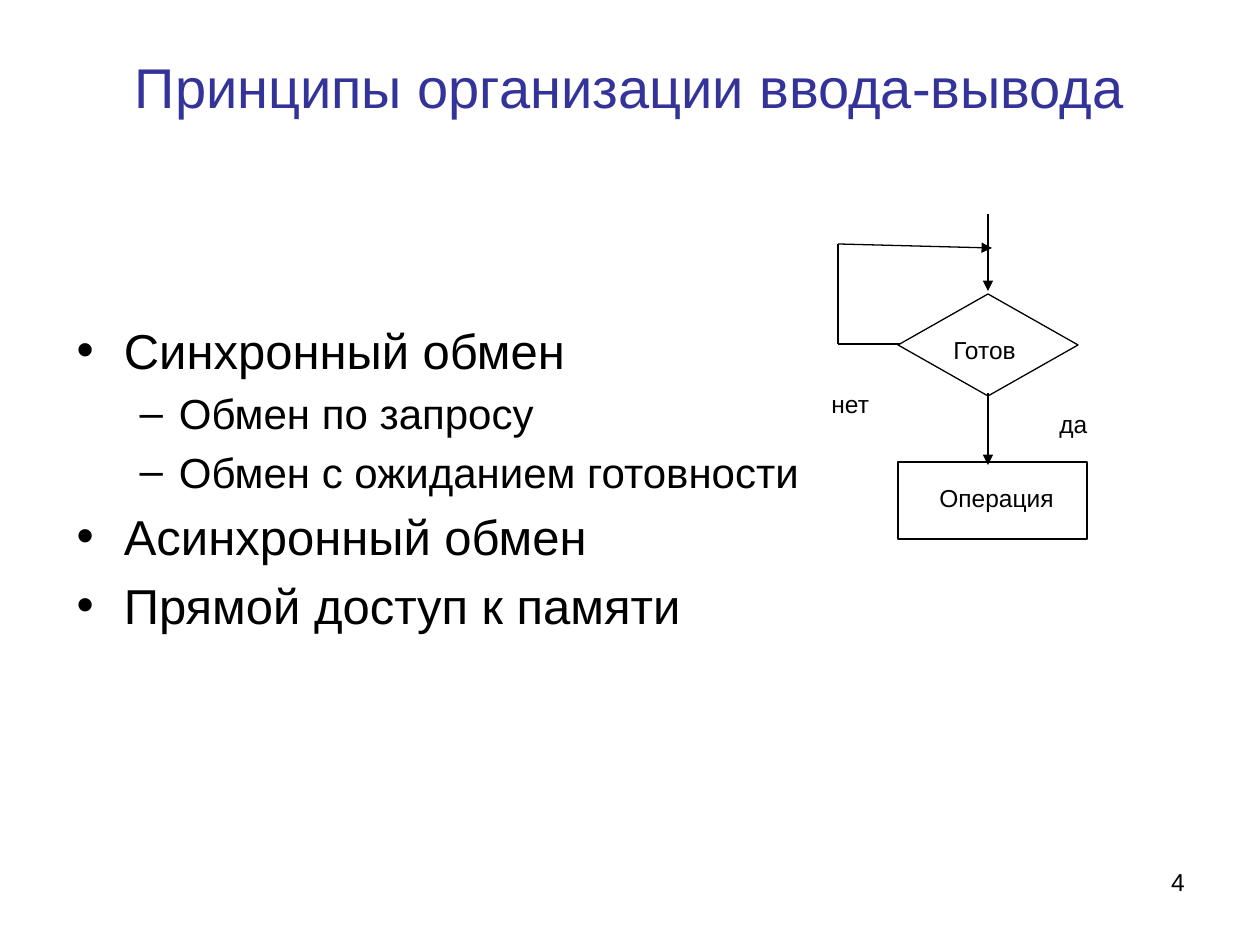
"""Builds a slide on input/output principles with a readiness-polling flowchart."""
from dataclasses import dataclass
from typing import NamedTuple

from lxml import etree
from pptx import Presentation
from pptx import util as u
from pptx.dml.color import RGBColor
from pptx.enum import shapes, text
from pptx.oxml.ns import qn

SCALE = 914400 / 126


@dataclass(frozen=True)
class Theme:
    font: str = "Arial"
    ink: str = "000000"
    paper: str = "FFFFFF"
    accent: str = "333399"
    title: int = 32
    levels: tuple = (28, 24)
    small: int = 14
    stroke: float = 0.75


class Box(NamedTuple):
    left: int
    top: int
    width: int
    height: int


class Node(NamedTuple):
    kind: shapes.MSO_SHAPE
    box: Box


class Label(NamedTuple):
    words: str
    box: Box
    align: text.PP_ALIGN = text.PP_ALIGN.LEFT
    inset: int = 6


class Link(NamedTuple):
    start: tuple
    end: tuple
    arrow: bool = False


class Item(NamedTuple):
    words: str
    level: int = 0


THEME = Theme()
DECISION = Box(898, 294, 180, 102)
PROCESS = Box(898, 462, 189, 77)
AXIS, LOOP_LEFT, LOOP_TOP, LOOP_BOTTOM = 988, 838, 244, 344

ITEMS = [
    Item("Синхронный обмен"),
    Item("Обмен по запросу", 1),
    Item("Обмен с ожиданием готовности", 1),
    Item("Асинхронный обмен"),
    Item("Прямой доступ к памяти"),
]
NODES = [
    Node(shapes.MSO_SHAPE.FLOWCHART_DECISION, DECISION),
    Node(shapes.MSO_SHAPE.FLOWCHART_PROCESS, PROCESS),
]
LABELS = [
    Label("Готов", Box(941, 335, 101, 25), inset=0),
    Label("Операция", Box(917, 483, 159, 40), text.PP_ALIGN.CENTER, 0),
    Label("да", Box(1047, 403, 68, 37)),
    Label("нет", Box(819, 383, 67, 35)),
]
LINKS = [
    Link((AXIS, 393), (AXIS, 465), True),
    Link((AXIS, 214), (AXIS, 291), True),
    Link((900, LOOP_BOTTOM), (LOOP_LEFT, LOOP_BOTTOM)),
    Link((LOOP_LEFT, LOOP_BOTTOM), (LOOP_LEFT, LOOP_TOP)),
    Link((LOOP_LEFT, LOOP_TOP), (992, 248), True),
]


def px(*lengths: int) -> list:
    return [u.Emu(round(length * SCALE)) for length in lengths]


def colour(code: str) -> RGBColor:
    return RGBColor.from_string(code)


def place(shape, box: Box) -> None:
    shape.left, shape.top, shape.width, shape.height = px(*box)


def write(para, words: str, *, size: int = THEME.small, ink: str = THEME.ink,
          align=None, level: int = 0) -> None:
    para.alignment, para.level = align, level
    span = para.add_run()
    span.text = words
    span.font.name, span.font.size = THEME.font, u.Pt(size)
    span.font.color.rgb = colour(ink)


def add_node(slide, node: Node) -> None:
    shape = slide.shapes.add_shape(node.kind, *px(*node.box))
    shape.shadow.inherit = False
    shape.fill.solid()
    shape.fill.fore_color.rgb = colour(THEME.paper)
    shape.line.color.rgb = colour(THEME.ink)
    shape.line.width = u.Pt(THEME.stroke)


def add_label(slide, label: Label, filled: bool = True) -> None:
    shape = slide.shapes.add_textbox(*px(*label.box))
    if filled:
        shape.fill.solid()
        shape.fill.fore_color.rgb = colour(THEME.paper)
    frame = shape.text_frame
    frame.word_wrap = True
    frame.margin_top, frame.margin_bottom = px(label.inset, label.inset)
    write(frame.paragraphs[0], label.words, align=label.align)


def add_link(slide, link: Link) -> None:
    line = slide.shapes.add_connector(
        shapes.MSO_CONNECTOR.STRAIGHT, *px(*link.start, *link.end))
    line.line.color.rgb = colour(THEME.ink)
    line.line.width = u.Pt(THEME.stroke)
    if link.arrow:
        etree.SubElement(line.line._get_or_add_ln(), qn("a:tailEnd"), type="triangle")
    etree.SubElement(line._element.spPr, qn("a:effectLst"))


def fill_title(slide) -> None:
    title = slide.shapes.title
    place(title, Box(63, 38, 1134, 97))
    frame = title.text_frame
    frame.auto_size = text.MSO_AUTO_SIZE.NONE
    frame.vertical_anchor = text.MSO_ANCHOR.MIDDLE
    write(frame.paragraphs[0], "Принципы организации ввода-вывода",
          size=THEME.title, ink=THEME.accent, align=text.PP_ALIGN.CENTER)


def fill_body(slide) -> None:
    body = slide.placeholders[1]
    place(body, Box(64, 314, 756, 391))
    frame = body.text_frame
    frame.auto_size = text.MSO_AUTO_SIZE.NONE
    for index, item in enumerate(ITEMS):
        para = frame.add_paragraph() if index else frame.paragraphs[0]
        write(para, item.words, size=THEME.levels[item.level], level=item.level)


def main() -> None:
    deck = Presentation()
    deck.slide_width, deck.slide_height = px(1260, 945)
    slide = deck.slides.add_slide(deck.slide_layouts[1])
    fill_title(slide)
    fill_body(slide)
    for node in NODES:
        add_node(slide, node)
    for label in LABELS:
        add_label(slide, label)
    for link in LINKS:
        add_link(slide, link)
    page_number = Label("4", Box(903, 861, 294, 66), text.PP_ALIGN.RIGHT)
    add_label(slide, page_number, filled=False)
    deck.save("out.pptx")


if __name__ == "__main__":
    main()
